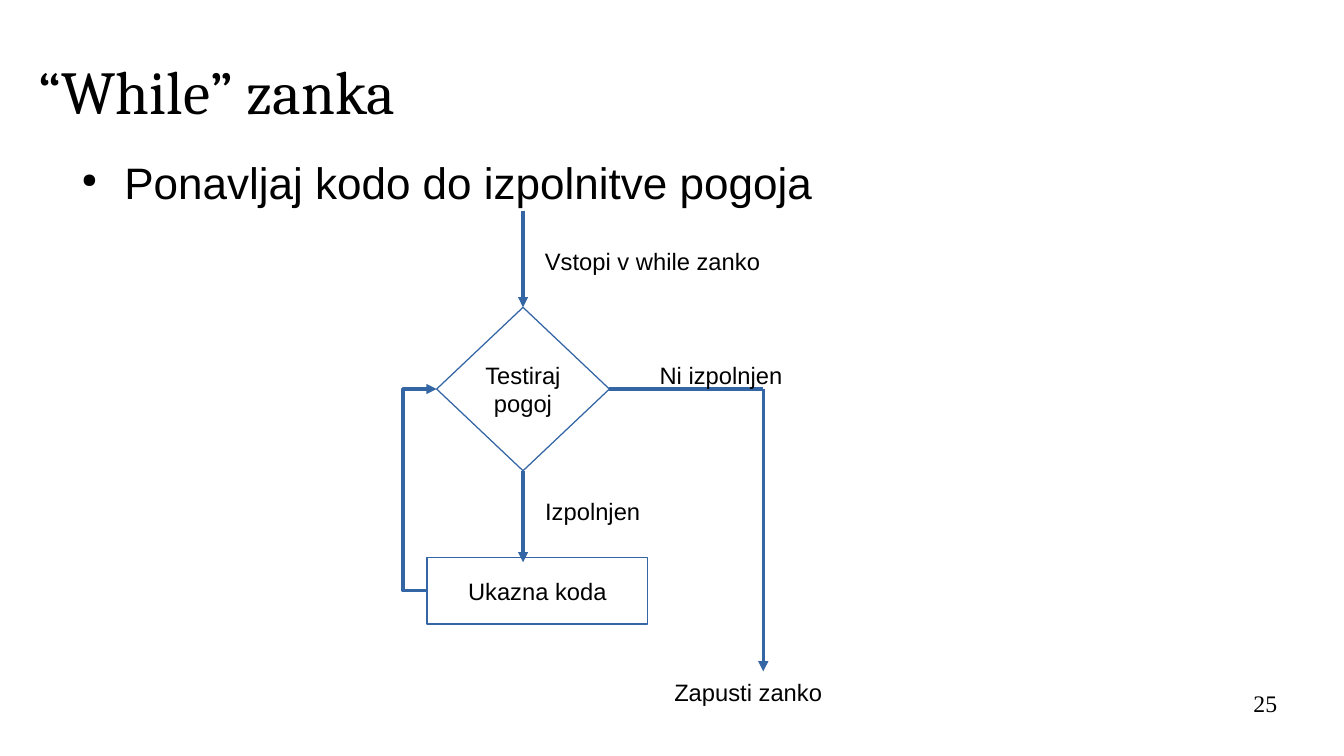
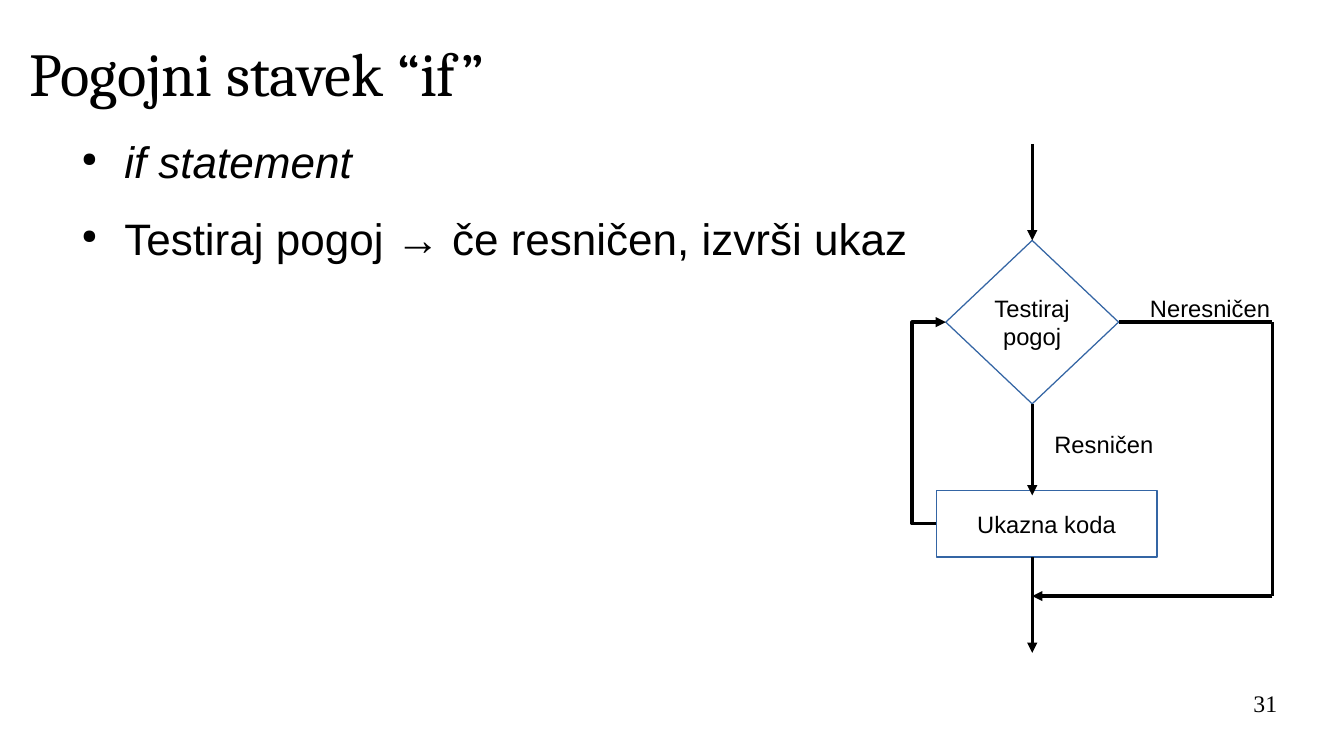
"""Build two slides that explain a while loop and an if statement."""
from dataclasses import dataclass

from lxml import etree
from pptx import Presentation, util as u
from pptx.dml.color import RGBColor
from pptx.enum import shapes, text
from pptx.oxml.ns import qn


@dataclass(frozen=True)
class Theme:
    """Colours, fonts and type sizes."""
    ink: str = "000000"
    blue: str = "3465A4"
    white: str = "FFFFFF"
    head: str = "Cambria"
    sans: str = "Arial"
    serif: str = "Times New Roman"
    big: float = 36
    mid: float = 26
    small: float = 14


def rgb(code):
    """Turn a hex code into a colour."""
    return RGBColor.from_string(code)


def pts(*nums):
    """Turn numbers into point lengths."""
    return [u.Pt(n) for n in nums]


def put(obj, vals):
    """Set each named value on an object."""
    for name, val in vals.items():
        setattr(obj, name, val)


class Deck:
    """Hold the style and the current slide."""

    def __init__(self, theme):
        """Open an empty deck."""
        self.theme = theme
        self.prs = Presentation()
        wide, high = pts(793.44, 446.4)
        put(self.prs, {"slide_width": wide, "slide_height": high})
        self.slide = None

    def page(self, title, spot, num):
        """Start a slide with its title and number."""
        t = self.theme
        self.slide = self.prs.slides.add_slide(self.prs.slide_layouts[6])
        self.box(title, spot, t.head, t.big, anchor=text.MSO_ANCHOR.MIDDLE)
        self.box(num, (569, 407, 185, 31), t.serif, t.small, align=text.PP_ALIGN.RIGHT)

    def frame(self, shape, pad, anchor, wrap):
        """Format a text frame and return it."""
        side, edge = pts(*pad)
        tf = shape.text_frame
        put(tf, {"margin_left": side, "margin_right": side, "margin_top": edge,
                 "margin_bottom": edge, "vertical_anchor": anchor, "word_wrap": wrap})
        return tf

    def fill(self, para, words, face, size, align=None, slant=None):
        """Fill and format one paragraph."""
        para.text = words
        para.alignment = align
        put(para.font, {"name": face, "size": u.Pt(size), "italic": slant})
        para.font.color.rgb = rgb(self.theme.ink)

    def box(self, words, spot, face, size, pad=(0, 0),
            anchor=text.MSO_ANCHOR.TOP, align=None):
        """Add a text box."""
        shape = self.slide.shapes.add_textbox(*pts(*spot))
        tf = self.frame(shape, pad, anchor, True)
        self.fill(tf.paragraphs[0], words, face, size, align)
        return shape

    def label(self, words, spot, solid=False):
        """Add a small label."""
        t = self.theme
        shape = self.box(words, spot, t.sans, t.small, (7.2, 3.6))
        if solid:
            shape.fill.solid()
            shape.fill.fore_color.rgb = rgb(t.white)

    def points(self, items, spot):
        """Add a bulleted list of words and slant."""
        t = self.theme
        shape = self.slide.shapes.add_textbox(*pts(*spot))
        tf = self.frame(shape, (0, 0), text.MSO_ANCHOR.TOP, True)
        left, hang = pts(33.8, -25.2)
        for i, (words, slant) in enumerate(items):
            para = tf.add_paragraph() if i else tf.paragraphs[0]
            if i:
                para.space_before = u.Pt(14.2)
            props = para._p.get_or_add_pPr()
            props.set("marL", str(left))
            props.set("indent", str(hang))
            tint = etree.SubElement(props, qn("a:buClr"))
            etree.SubElement(tint, qn("a:srgbClr"), val=t.ink)
            etree.SubElement(props, qn("a:buSzPct"), val="45000")
            etree.SubElement(props, qn("a:buChar"), char="●")
            self.fill(para, words, t.sans, t.mid, slant=slant)

    def node(self, kind, words, spot):
        """Add an outlined flowchart node."""
        t = self.theme
        shape = self.slide.shapes.add_shape(kind, *pts(*spot))
        shape.shadow.inherit = False
        shape.fill.background()
        shape.line.color.rgb = rgb(t.blue)
        shape.line.width = u.Pt(0)
        tf = self.frame(shape, (7.2, 3.6), text.MSO_ANCHOR.MIDDLE, False)
        self.fill(tf.paragraphs[0], words, t.sans, t.small, text.PP_ALIGN.CENTER)
        return shape

    def link(self, start, end, tint, tip=True, bend=None, tie=None, goal=None):
        """Add a line, with an arrow tip, a bend or joined ends."""
        kinds = shapes.MSO_CONNECTOR
        kind = kinds.STRAIGHT if bend is None else kinds.ELBOW
        line = self.slide.shapes.add_connector(kind, *pts(*start, *end))
        if tie:
            line.begin_connect(*tie)
        if goal:
            line.end_connect(*goal)
        line.line.color.rgb = rgb(tint)
        line.line.width = u.Pt(0)
        props = line._element.spPr
        if bend is not None:
            table = props.find(qn("a:prstGeom")).find(qn("a:avLst"))
            etree.SubElement(table, qn("a:gd"), name="adj1", fmla=f"val {bend}")
        if tip:
            etree.SubElement(props.find(qn("a:ln")), qn("a:tailEnd"), type="triangle")
        etree.SubElement(props, qn("a:effectLst"))

    def flow(self, x, y, tint, yes, no, inset, drop, tip):
        """Add the test and code flow below its top point."""
        kinds = shapes.MSO_SHAPE
        mid, low, far = y + 48.25, y + 96.5, x + 141.8
        test = self.node(kinds.DIAMOND, "Testiraj\npogoj", (x - 51, y, 102, 96.5))
        self.label(yes, (x + 6, y + 108, 122, 23), solid=True)
        code = self.node(kinds.RECTANGLE, "Ukazna koda", (x - 56.7, y + 147.5, 130.3, 39.5))
        self.link((x, y - 57), (x, y), tint, goal=(test, 0))
        self.link((x, low), (x, y + 150.5), tint, tie=(test, 2))
        self.link((x - 56.7, y + 167.25), (x - 51, mid), tint, bend=-250500,
                  tie=(code, 1), goal=(test, 1))
        self.link((x + 51, mid), (far, mid), tint, tip=False, tie=(test, 3))
        self.link((far, mid), (far, y + drop), tint, tip=tip)
        self.label(no, (x + inset, y + 28, 93.6, 23))


def loop(deck):
    """Build the while slide."""
    deck.page("“While” zanka", (23, 16, 714, 75), "25")
    deck.points([("Ponavljaj kodo do izpolnitve pogoja", None)], (39.6, 92, 714, 305))
    deck.label("Vstopi v while zanko", (314.6, 142, 170, 50), solid=True)
    deck.flow(308.8, 181.5, deck.theme.blue, "Izpolnjen", "Ni izpolnjen", 73.5, 215, True)
    deck.label("Zapusti zanko", (391, 396.7, 136, 23))


def branch(deck):
    """Build the if slide."""
    x, y, ink = 609.4, 142, deck.theme.ink
    deck.page("Pogojni stavek “if”", (17.3, 10.8, 714, 63.4), "31")
    deck.points([("if statement", True),
                 ("Testiraj pogoj → če resničen, izvrši ukaz", None)],
                (39.6, 79.2, 748, 317.5))
    deck.flow(x, y, ink, "Resničen", "Neresničen", 62.4, 210, False)
    deck.link((x + 141.8, y + 210), (x, y + 210), ink)
    deck.link((x, y + 187), (x, y + 243.5), ink)


def main():
    """Build and save the deck."""
    deck = Deck(Theme())
    loop(deck)
    branch(deck)
    deck.prs.save("out.pptx")


if __name__ == "__main__":
    main()
